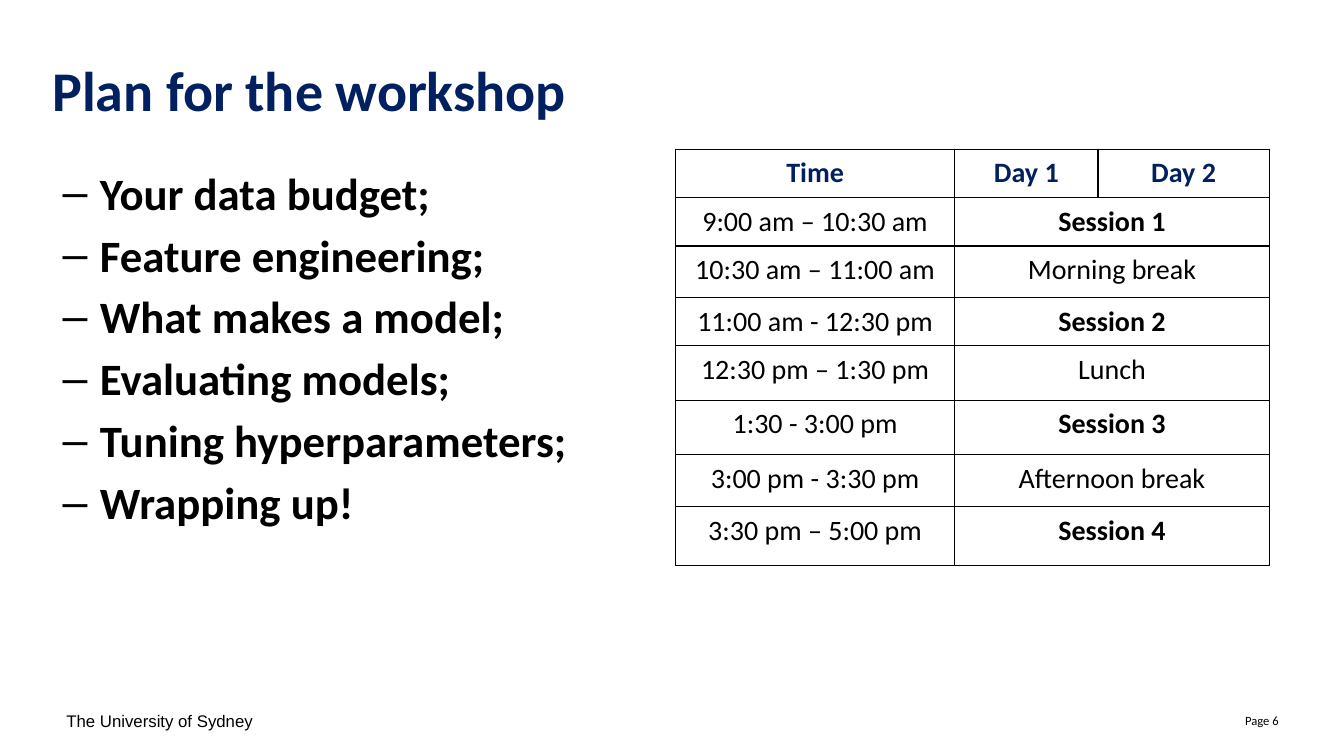
from lxml.etree import SubElement
from pptx import Presentation
from pptx.dml.color import RGBColor
from pptx.enum.text import MSO_ANCHOR, MSO_AUTO_SIZE, PP_ALIGN
from pptx.oxml.ns import qn
from pptx.util import Inches, Pt

NAVY = RGBColor(0x00, 0x20, 0x60)
BLACK = RGBColor(0x00, 0x00, 0x00)

# Page grid, in inches
WIDTH, HEIGHT = 13.33, 7.5
MARGIN = 0.52
FOOTER_TOP, FOOTER_WIDTH, FOOTER_HEIGHT = 6.95, 3.11, 0.4
COLUMN_WIDTH = 5.89

TOPICS = [
    "Your data budget;",
    "Feature engineering;",
    "What makes a model;",
    "Evaluating models;",
    "Tuning hyperparameters;",
    "Wrapping up!",
]
HEADINGS = ["Time", "Day 1", "Day 2"]
SCHEDULE = [
    ("9:00 am – 10:30 am", "Session 1"),
    ("10:30 am – 11:00 am", "Morning break"),
    ("11:00 am - 12:30 pm", "Session 2"),
    ("12:30 pm – 1:30 pm", "Lunch"),
    ("1:30 - 3:00 pm", "Session 3"),
    ("3:00 pm - 3:30 pm", "Afternoon break"),
    ("3:30 pm – 5:00 pm", "Session 4"),
]
COLUMN_WIDTHS = [2.77, 1.42, 1.7]
ROW_HEIGHTS = [0.44, 0.41, 0.51, 0.41, 0.54, 0.54, 0.52, 0.58]


def place(sp, left, top, width, height):
    sp.left, sp.top = Inches(left), Inches(top)
    sp.width, sp.height = Inches(width), Inches(height)


def format_text(p, size, color=BLACK, bold=False, font="Calibri", align=PP_ALIGN.LEFT):
    p.alignment = align
    for r in p.runs:
        r.font.name = font
        r.font.size = Pt(size)
        r.font.bold = bold
        r.font.color.rgb = color


def add_title(slide, text):
    sp = slide.shapes.title
    place(sp, MARGIN, 0.55, WIDTH - 2 * MARGIN, 0.71)
    tf = sp.text_frame
    tf.text = text
    tf.auto_size = MSO_AUTO_SIZE.NONE
    tf.vertical_anchor = MSO_ANCHOR.TOP
    tf.margin_left = tf.margin_top = tf.margin_right = tf.margin_bottom = 0
    format_text(tf.paragraphs[0], 40, NAVY, bold=True)


def add_dash(p):
    pPr = p._p.get_or_add_pPr()
    pPr.set("marL", str(Inches(0.37)))
    pPr.set("indent", str(-Inches(0.37)))
    SubElement(pPr, qn("a:buFont"), typeface="Arial")
    SubElement(pPr, qn("a:buChar"), char="–")


def add_topics(slide, topics):
    sp = slide.placeholders[1]
    place(sp, MARGIN, 1.59, COLUMN_WIDTH, 4.95)
    tf = sp.text_frame
    tf.text = "\n".join(topics)
    tf.auto_size = MSO_AUTO_SIZE.NONE
    for i, p in enumerate(tf.paragraphs):
        add_dash(p)
        p.space_before = Pt(5.8 if i else 0)
        format_text(p, 32, bold=True)


def add_borders(cell):
    tcPr = cell._tc.get_or_add_tcPr()
    for side in ("lnL", "lnR", "lnT", "lnB"):
        ln = SubElement(tcPr, qn(f"a:{side}"), w=str(Pt(1)))
        fill = SubElement(ln, qn("a:solidFill"))
        SubElement(fill, qn("a:srgbClr"), val=str(BLACK))


def fill_cell(cell, text, color=BLACK, bold=False):
    cell.text_frame.text = text
    format_text(cell.text_frame.paragraphs[0], 20, color, bold, align=PP_ALIGN.CENTER)


def add_schedule(slide):
    frame = slide.shapes.add_table(
        len(ROW_HEIGHTS), len(COLUMN_WIDTHS), Inches(6.7), Inches(1.48),
        Inches(sum(COLUMN_WIDTHS)), Inches(sum(ROW_HEIGHTS)))
    table = frame.table
    table.first_row = table.horz_banding = False
    for column, width in zip(table.columns, COLUMN_WIDTHS):
        column.width = Inches(width)
    for row, height in zip(table.rows, ROW_HEIGHTS):
        row.height = Inches(height)
    for cell in table.iter_cells():
        add_borders(cell)
        cell.fill.background()
        cell.margin_left = cell.margin_right = Inches(0.13)
        cell.margin_top = cell.margin_bottom = Inches(0.07)

    # Heading row, then one activity across both days
    for i, heading in enumerate(HEADINGS):
        fill_cell(table.cell(0, i), heading, NAVY, bold=True)
    for i, (time, activity) in enumerate(SCHEDULE, start=1):
        table.cell(i, 1).merge(table.cell(i, 2))
        fill_cell(table.cell(i, 0), time)
        fill_cell(table.cell(i, 1), activity, bold=activity.startswith("Session"))


def add_footer(slide, text, left, size, font, align):
    sp = slide.shapes.add_textbox(Inches(left), Inches(FOOTER_TOP),
                                  Inches(FOOTER_WIDTH), Inches(FOOTER_HEIGHT))
    tf = sp.text_frame
    tf.word_wrap = True
    tf.vertical_anchor = MSO_ANCHOR.MIDDLE
    tf.text = text
    format_text(tf.paragraphs[0], size, font=font, align=align)


def main():
    prs = Presentation()
    prs.slide_width, prs.slide_height = Inches(WIDTH), Inches(HEIGHT)
    slide = prs.slides.add_slide(prs.slide_layouts[1])

    add_title(slide, "Plan for the workshop")
    add_topics(slide, TOPICS)
    add_schedule(slide)
    add_footer(slide, "The University of Sydney", 0.56, 12, "Arial", PP_ALIGN.LEFT)
    add_footer(slide, "Page 6", 9.67, 9, "Calibri", PP_ALIGN.RIGHT)

    prs.save("out.pptx")


if __name__ == "__main__":
    main()
